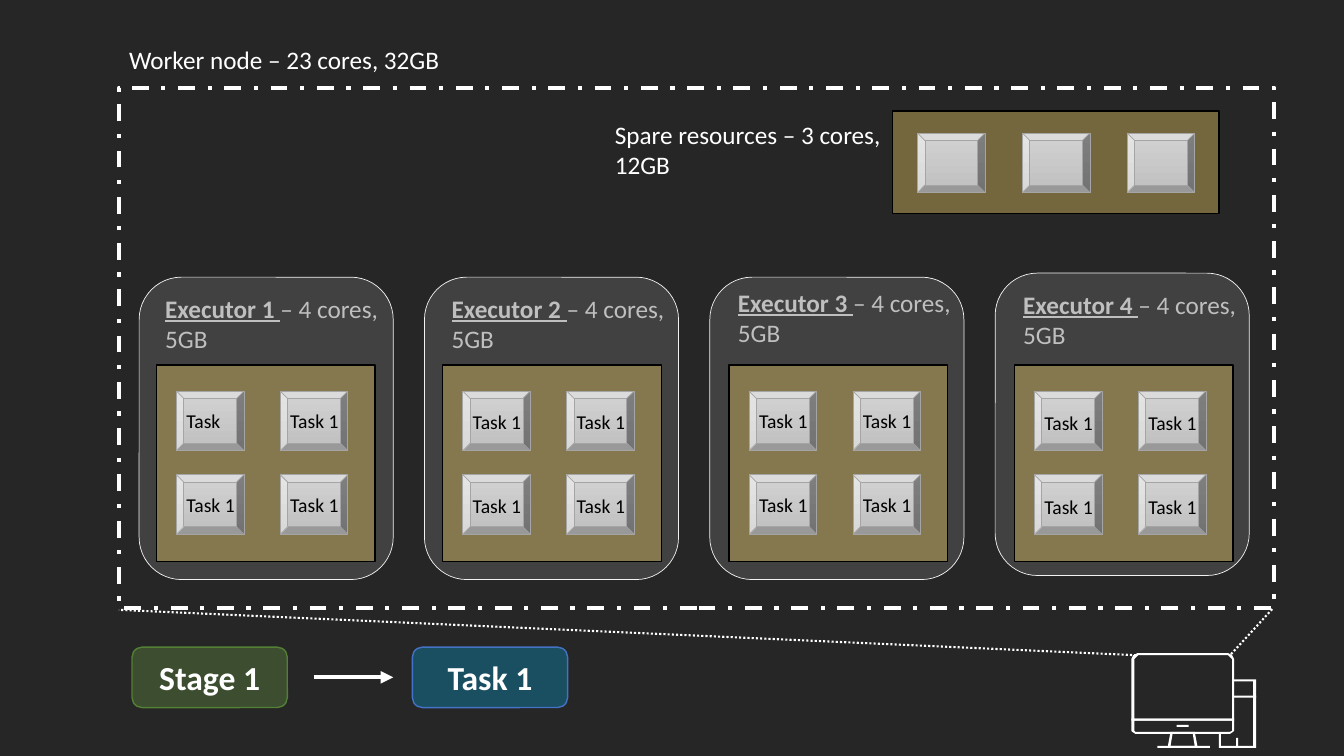
from lxml import etree
from pptx import Presentation
from pptx import util as u
from pptx.dml import color
from pptx.enum import dml, shapes, text
from pptx.oxml import ns

KIND = shapes.MSO_SHAPE
WHITE, BLACK, GREY, GOLD = "FFFFFF", "000000", "BFBFBF", "FFD966"
KEY_W, KEY_H = 0.67, 0.59


def rgb(code):
    return color.RGBColor.from_string(code)


def paint(shape, fill=None, alpha=None, line=None, width=1, dash=None):
    shape.shadow.inherit = False
    if fill:
        shape.fill.solid()
        shape.fill.fore_color.rgb = rgb(fill)
        if alpha:
            tint = shape.fill._xPr.find(".//" + ns.qn("a:srgbClr"))
            etree.SubElement(tint, ns.qn("a:alpha"), val=str(alpha * 1000))
    else:
        shape.fill.background()
    if line:
        stroke(shape, line, width, dash)
    else:
        shape.line.fill.background()


def stroke(shape, code, width, dash=None):
    shape.line.color.rgb = rgb(code)
    shape.line.width = u.Pt(width)
    if dash:
        shape.line.dash_style = dash


def block(slide, kind, x, y, w, h, **style):
    shape = slide.shapes.add_shape(kind, *map(u.Inches, (x, y, w, h)))
    paint(shape, **style)
    return shape


def write(shape, *parts, size=18, ink=WHITE, bold=False,
          align=text.PP_ALIGN.LEFT, anchor=text.MSO_ANCHOR.TOP):
    frame = shape.text_frame
    frame.word_wrap = True
    frame.auto_size = text.MSO_AUTO_SIZE.NONE
    frame.vertical_anchor = anchor
    para = frame.paragraphs[0]
    para.alignment = align
    for i, part in enumerate(parts):
        run = para.add_run()
        run.text = part
        font = run.font
        font.name, font.size, font.color.rgb = "Calibri", u.Pt(size), rgb(ink)
        lead = len(parts) > 1 and i == 0
        font.bold = bold or lead
        font.underline = lead


def label(slide, x, y, w, h, *parts, **style):
    write(slide.shapes.add_textbox(*map(u.Inches, (x, y, w, h))), *parts, **style)


def link(slide, start, end, width, dash=None, arrow=False):
    line = slide.shapes.add_connector(
        shapes.MSO_CONNECTOR.STRAIGHT, *map(u.Inches, start + end))
    stroke(line, WHITE, width, dash)
    if arrow:
        etree.SubElement(line.line._get_or_add_ln(), ns.qn("a:tailEnd"), type="triangle")
    etree.SubElement(line._element.spPr, ns.qn("a:effectLst"))


def key(slide, x, y):
    shape = block(slide, KIND.BEVEL, x, y, KEY_W, KEY_H, line="A5A5A5", width=0.5)
    shape.fill.gradient()
    shape.fill.gradient_angle = 270
    for stop, code in zip(shape.fill.gradient_stops, ("D2D2D2", "C0C0C0")):
        stop.color.rgb = rgb(code)


def panel(slide, x, y, w, h):
    block(slide, KIND.RECTANGLE, x, y, w, h, fill=GOLD, alpha=36, line=BLACK)


def worker(slide, x, y, w, h):
    block(slide, KIND.RECTANGLE, x, y, w, h, line=WHITE, width=3,
          dash=dml.MSO_LINE.DASH_DOT)
    title = slide.shapes.title
    title.left, title.top, title.width, title.height = map(
        u.Inches, (x, y - 0.48, 3.4, 0.4))
    write(title, "Worker node – 23 cores, 32GB")


def spare(slide, x, y, w, h):
    panel(slide, x, y, w, h)
    for col in range(3):
        key(slide, x + 0.25 + col * 1.04, y + 0.22)
    label(slide, x - 2.85, y + 0.03, 3.4, 0.71, "Spare resources – 3 cores, 12GB")


def runner(slide, x, y, w, h, name, head, left, drop, tasks):
    block(slide, KIND.ROUNDED_RECTANGLE, x, y, w, h, fill=GREY, alpha=18,
          line="F2F2F2", width=0.5)
    label(slide, left - 0.01, head, 2.68, 0.71, name, "– 4 cores, 5GB", ink=GREY)
    panel(slide, left, 3.62, 2.17, 1.95)
    for i, task in enumerate(tasks):
        row, col = divmod(i, 2)
        kx, ky = left + 0.2 + col * 1.03, 3.88 + row * 0.83
        key(slide, kx, ky)
        label(slide, kx, ky + drop, 0.95, 0.34, task, size=14, ink=BLACK)


def badge(slide, x, y, w, h, name, fill, line):
    shape = block(slide, KIND.ROUNDED_RECTANGLE, x, y, w, h,
                  fill=fill, alpha=30, line=line)
    write(shape, name, size=24, bold=True, align=text.PP_ALIGN.CENTER,
          anchor=text.MSO_ANCHOR.MIDDLE)


def legend(slide, x, y, w, h):
    badge(slide, x, y, w, h, "Stage 1", "70AD47", "538035")
    badge(slide, x + 2.78, y, w, h, "Task 1", "00B0F0", "4472C4")
    mid = y + h / 2
    link(slide, (x + 1.8, mid), (x + 2.59, mid), 3, arrow=True)


def outline(slide, x, y, *loops):
    spots = [[(u.Inches(x + a), u.Inches(y + b)) for a, b in loop] for loop in loops]
    form = slide.shapes.build_freeform(*spots[0][0])
    form.add_line_segments(spots[0][1:])
    for loop in spots[1:]:
        form.move_to(*loop[0])
        form.add_line_segments(loop[1:])
    paint(form.convert_to_shape(), fill=WHITE)


def desktop(slide, x, y):
    screen = [(1.02, 0.67), (0, 0.67), (0, 0.06), (0.02, 0.02), (0.06, 0),
              (0.96, 0), (1, 0.02), (1.02, 0.06)]
    glass = [(0.03, 0.65), (1, 0.65), (1, 0.06), (0.96, 0.02), (0.07, 0.02),
             (0.03, 0.06)]
    chin = [(0.98, 0.8), (0.04, 0.8), (0.01, 0.78), (0, 0.77), (0, 0.65),
            (1.02, 0.65), (1.02, 0.77), (1.01, 0.78)]
    gap = [(0.03, 0.67), (0.03, 0.77), (0.04, 0.78), (0.98, 0.78), (1, 0.77),
           (1, 0.67)]
    stand = [(0.66, 0.94), (0.36, 0.94), (0.39, 0.78), (0.63, 0.78)]
    hole = [(0.39, 0.92), (0.63, 0.92), (0.61, 0.8), (0.41, 0.8)]
    tower = [(1.24, 0.94), (0.87, 0.94), (0.87, 0.79), (0.88, 0.78), (0.89, 0.79),
             (0.89, 0.92), (1.21, 0.92), (1.21, 0.28), (1.01, 0.28), (1, 0.27),
             (1.01, 0.26), (1.24, 0.26)]
    for loops in ((screen, glass), (chin, gap), (stand, hole), (tower,)):
        outline(slide, x, y, *[loop + loop[:1] for loop in loops])
    for dx, dy, w, h in ((0.45, 0.71, 0.12, 0.02), (0.26, 0.92, 0.52, 0.02),
                         (1, 0.42, 0.24, 0.02), (1.04, 0.84, 0.02, 0.1)):
        block(slide, KIND.RECTANGLE, x + dx, y + dy, w, h, fill=WHITE)


def main():
    deck = Presentation()
    deck.slide_width, deck.slide_height = u.Inches(13.33), u.Inches(7.5)
    slide = deck.slides.add_slide(deck.slide_layouts[5])
    slide.background.fill.solid()
    slide.background.fill.fore_color.rgb = rgb("262626")

    desktop(slide, 11.22, 6.48)
    dots = dml.MSO_LINE.ROUND_DOT
    link(slide, (12.21, 6.49), (12.63, 6.03), 1.5, dots)
    link(slide, (11.27, 6.5), (1.18, 6.05), 1.5, dots)
    worker(slide, 1.18, 0.87, 11.46, 5.16)
    spare(slide, 8.85, 1.1, 3.24, 1.02)
    rows = ((2.75, 2.86, 1.55, 0.13), (2.75, 2.86, 4.39, 0.14),
            (2.75, 2.8, 7.23, 0.13), (2.71, 2.82, 10.06, 0.15))
    for i, (top, head, left, drop) in enumerate(rows):
        tasks = ["Task 1"] * 4
        if i == 0:
            tasks[0] = "Task"
        runner(slide, 1.38 + i * 2.83, top, 2.52, 3, f"Executor {i + 1} ",
               head, left, drop, tasks)
    legend(slide, 1.31, 6.42, 1.54, 0.6)
    deck.save("out.pptx")


if __name__ == "__main__":
    main()
